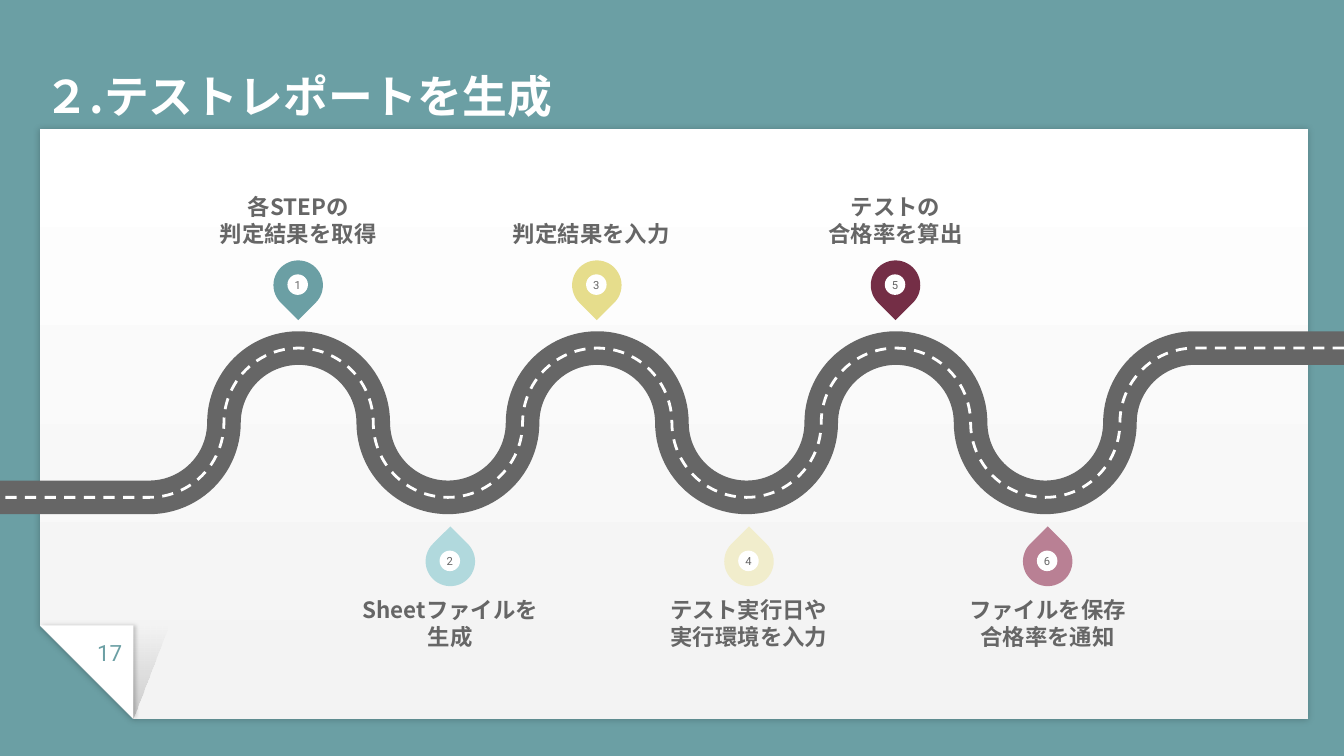
from lxml import etree
from pptx import Presentation
from pptx import util as u
from pptx.dml.color import RGBColor
from pptx.enum import dml, shapes, text
from pptx.oxml.ns import qn

PX = 6350  # EMU per px, 144 px to the inch
JP, LATIN = "Noto Sans CJK JP", "Roboto"
COLORS = {
    "teal": "6B9FA4", "pale teal": "B1D9DD",
    "yellow": "E6DD8C", "pale yellow": "F1EDCC",
    "wine": "742E46", "pale wine": "B98094",
    "white": "FFFFFF", "paper": "F3F3F3", "grey": "666666", "black": "000000",
}
# (pin colour, label lines, label font, sideways shift of the label)
STEPS = [
    ("teal", ["各STEPの", "判定結果を取得"], JP, 0),
    ("pale teal", ["Sheetファイルを", "生成"], JP, 0),
    ("yellow", ["判定結果を入力"], JP, -6),
    ("pale yellow", ["テスト実行日や", "実行環境を入力"], JP, 0),
    ("wine", ["テストの", "合格率を算出"], JP, 0),
    ("pale wine", ["ファイルを保存", "合格率を通知"], LATIN, 0),
]


def rgb(name):
    return RGBColor.from_string(COLORS[name])


def emu(*lengths):
    return [n * PX for n in lengths]


def write(tf, lines, size, color, font=JP, bold=False, align=text.PP_ALIGN.CENTER,
          anchor=text.MSO_ANCHOR.TOP, spacing=None, inset=0):
    tf.word_wrap = True
    tf.vertical_anchor = anchor
    tf.margin_left = tf.margin_right = tf.margin_top = tf.margin_bottom = inset * PX
    for i, line in enumerate(lines):
        p = tf.add_paragraph() if i else tf.paragraphs[0]
        p.text, p.alignment = line, align
        if spacing:
            p.line_spacing = u.Pt(spacing)
        f = p.font
        f.size, f.bold, f.name = u.Pt(size), bold, font
        f.color.rgb = rgb(color)
        etree.SubElement(f._element, qn("a:ea"), typeface=font)


def add_shape(parent, kind, box, color=None, rotation=0):
    sp = parent.add_shape(kind, *emu(*box))
    sp.shadow.inherit = False
    sp.line.fill.background()
    sp.rotation = rotation
    if color:
        sp.fill.solid()
        sp.fill.fore_color.rgb = rgb(color)
    return sp


def set_gradient(sp, colors, angle, alphas=()):
    sp.fill.gradient()
    sp.fill.gradient_angle = angle
    for stop, color in zip(sp.fill.gradient_stops, colors):
        stop.color.rgb = rgb(color)
    for clr, alpha in zip(sp._element.spPr.iter(qn("a:srgbClr")), alphas):
        etree.SubElement(clr, qn("a:alpha"), val=str(alpha * 1000))


def add_shadow(sp, blur, direction):
    effects = sp._element.spPr.find(qn("a:effectLst"))
    shadow = etree.SubElement(effects, qn("a:outerShdw"), blurRad=str(u.Pt(blur)),
                              dist=str(u.Pt(0.8)), dir=str(direction * 60000),
                              algn="bl", rotWithShape="0")
    clr = etree.SubElement(shadow, qn("a:srgbClr"), val=COLORS["black"])
    etree.SubElement(clr, qn("a:alpha"), val="20000")


def add_paper(parent, x, y, w, h, number):
    """Sheet with its lower left corner folded over the page number."""
    fold = 100
    kind = shapes.MSO_SHAPE
    sheet = add_shape(parent, kind.SNIP_1_RECTANGLE, (x, y, w, h), rotation=180)
    sheet.adjustments[0] = 0.158
    set_gradient(sheet, ("white", "paper"), 90)
    add_shadow(sheet, 3.4, 90)

    top = y + h - fold
    corner = add_shape(parent, kind.RIGHT_TRIANGLE, (x, top, fold, fold), "white", 180)
    add_shadow(corner, 2.2, 0)
    shade = add_shape(parent, kind.RIGHT_TRIANGLE, (x + fold, top, 37, fold), rotation=180)
    shade._element.spPr.xfrm.set("flipH", "1")
    set_gradient(shade, ("black", "black"), 270, (17, 0))

    tb = parent.add_textbox(*emu(x + 38, top + 1, 73, 49))
    write(tb.text_frame, [number], 12, "teal", LATIN, inset=14)


def add_title(parent, box, title):
    tb = parent.add_textbox(*emu(*box))
    write(tb.text_frame, [title], 24, "white", bold=True, spacing=29,
          align=text.PP_ALIGN.LEFT, anchor=text.MSO_ANCHOR.BOTTOM)


def add_road(parent, x, y, w, h, color, width, dash=None):
    """Line from the right edge that swings down and up in half circles."""
    radius, mid = h // 2, y + h // 2
    start, end = x + w - h, x + h
    swings = range(start - radius, end, -h)
    points = [(start, y), *((sx, mid) for sx in swings), (end, y + h), (x, y + h)]
    builder = parent.build_freeform(x + w, y, scale=PX)
    builder.add_line_segments(points, close=False)
    sp = builder.convert_to_shape()
    sp.shadow.inherit = False
    sp.fill.background()
    sp.line.color.rgb = rgb(color)
    sp.line.width = u.Pt(width)
    sp.line.dash_style = dash

    halves = [(0, -180 if i % 2 else 180) for i in range(len(swings) - 1)]
    arcs = [(270, -90), *halves, (0, 90)]
    segments = list(sp._element.iter(qn("a:lnTo")))[1:-1]
    for segment, (angle, sweep) in zip(segments, arcs):
        arc = etree.Element(qn("a:arcTo"), wR=str(radius), hR=str(radius),
                            stAng=str(angle * 60000), swAng=str(sweep * 60000))
        segment.getparent().replace(segment, arc)


def add_pin(parent, x, y, size, color, number, points_down):
    dot, gap = 22, 15
    grp = parent.add_group_shape().shapes
    add_shape(grp, shapes.MSO_SHAPE.TEAR, (x, y, size, size), color,
              135 if points_down else 315)
    sp = add_shape(grp, shapes.MSO_SHAPE.OVAL, (x + gap, y + gap, dot, dot), "white")
    write(sp.text_frame, [str(number)], 6, "grey", LATIN, anchor=text.MSO_ANCHOR.MIDDLE)


def add_steps(parent, x, y, pitch):
    """Pins above and below the road in turn, each with a label on its far side."""
    size, label_w, label_h = 53, 203, 84
    for i, (color, lines, font, shift) in enumerate(STEPS):
        above = i % 2 == 0
        centre = x + i // 2 * pitch + (0 if above else 163)
        pin_y = y + (98 if above else 394)
        label_y = y if above else y + 458
        add_pin(parent, centre - size // 2, pin_y, size, color, i + 1, above)
        tb = parent.add_textbox(*emu(centre - label_w // 2 + shift, label_y, label_w, label_h))
        write(tb.text_frame, lines, 12, "grey", font, bold=True, spacing=14.5,
              anchor=text.MSO_ANCHOR.BOTTOM if above else text.MSO_ANCHOR.TOP)


def main():
    prs = Presentation()
    prs.slide_width, prs.slide_height = emu(1440, 810)
    s = prs.slides.add_slide(prs.slide_layouts[6])
    s.background.fill.solid()
    s.background.fill.fore_color.rgb = rgb("teal")

    add_paper(s.shapes, 43, 138, 1359, 632, "17")
    add_title(s.shapes, (48, 49, 1323, 82), "２.テストレポートを生成")
    add_road(s.shapes, 0, 373, 1440, 160, "grey", 18)
    add_road(s.shapes, 0, 373, 1440, 160, "white", 1.5, dml.MSO_LINE.DASH)
    add_steps(s.shapes, 319, 181, 320)
    prs.save("out.pptx")


if __name__ == "__main__":
    main()
